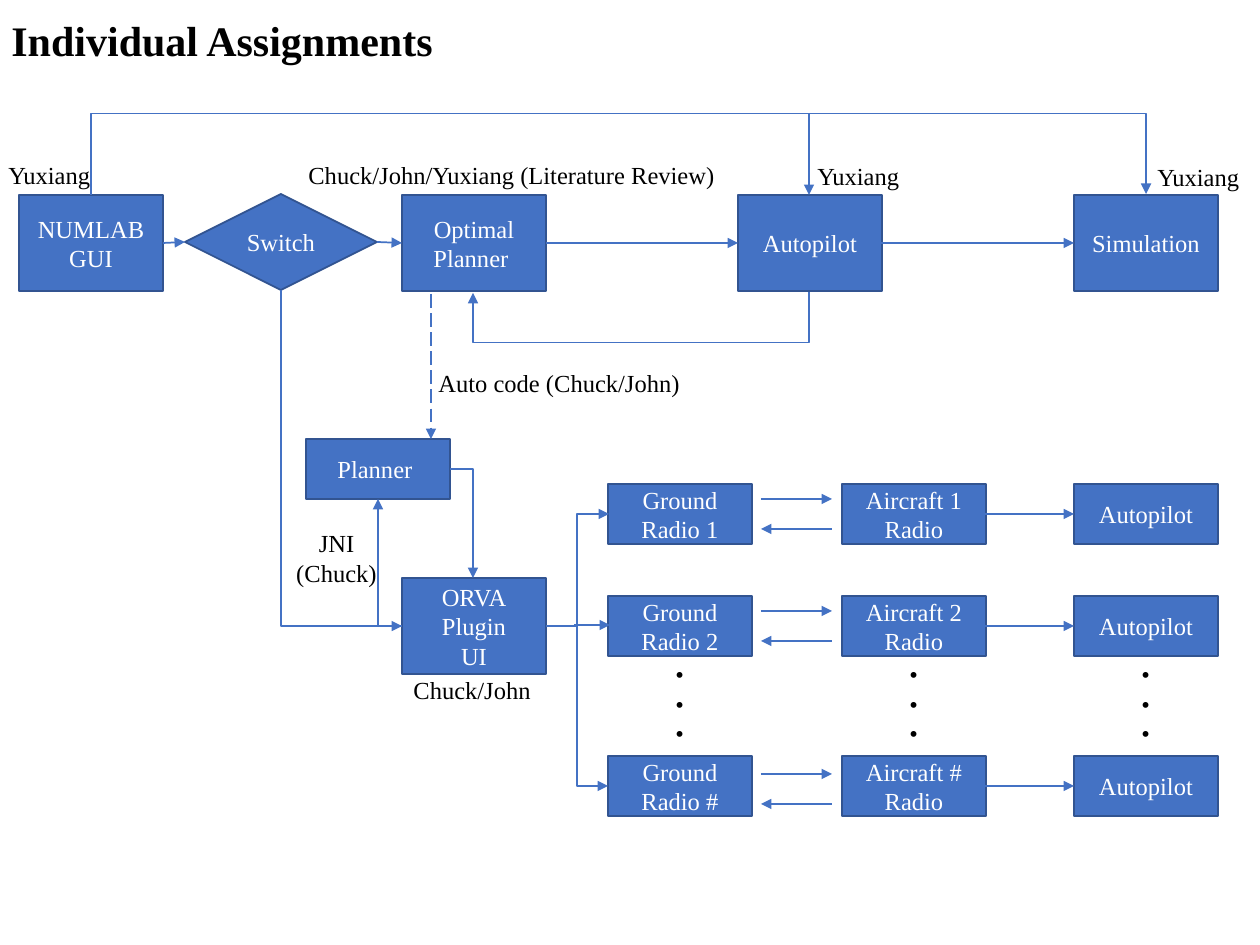
from dataclasses import dataclass

from lxml import etree
from pptx import Presentation
from pptx.dml.color import RGBColor
from pptx.enum.dml import MSO_LINE
from pptx.enum.shapes import MSO_CONNECTOR, MSO_SHAPE
from pptx.enum.text import MSO_ANCHOR, MSO_AUTO_SIZE, PP_ALIGN
from pptx.oxml.ns import qn
from pptx.util import Pt

RECTANGLE = MSO_SHAPE.RECTANGLE
DECISION = MSO_SHAPE.FLOWCHART_DECISION
STRAIGHT = MSO_CONNECTOR.STRAIGHT
ELBOW = MSO_CONNECTOR.ELBOW
LEFT = PP_ALIGN.LEFT
CENTER = PP_ALIGN.CENTER
LONG_DASH = MSO_LINE.LONG_DASH
MIDDLE = MSO_ANCHOR.MIDDLE
GROW = MSO_AUTO_SIZE.SHAPE_TO_FIT_TEXT

SCALE = 914400 / 126
FONT = "Times New Roman"
COLORS = {"blue": "4472C4", "outline": "325491", "white": "FFFFFF", "black": "000000"}
BOX_WIDTH, TALL, SHORT = 144, 96, 60
TOP_ROW, TOP_MIDDLE = 195, 243
INPUT, PLANNER, AUTOPILOT, SIMULATION = 19, 402, 738, 1074
GROUND, AIRCRAFT = 608, 842


@dataclass
class Node:
    text: str
    left: int
    top: int
    height: int = TALL
    width: int = BOX_WIDTH
    kind: MSO_SHAPE = RECTANGLE


@dataclass
class Label:
    text: str
    left: int
    top: int
    width: int
    height: int = 43
    size: int = 14
    bold: bool = False
    align: PP_ALIGN = LEFT
    wrap: bool = False


@dataclass
class Arrow:
    start: tuple[int, int]
    end: tuple[int, int]
    dashed: bool = False


@dataclass
class Elbow:
    start: tuple[int, int]
    end: tuple[int, int]
    vertical: bool = False
    lane: int | None = None


def emu(pixels: float) -> int:
    return round(pixels * SCALE)


def color(name: str) -> RGBColor:
    return RGBColor.from_string(COLORS[name])


def apply(target, values: dict) -> None:
    for name, value in values.items():
        setattr(target, name, value)


def write(frame, text: str, align: PP_ALIGN, ink: str, size: int = 14, bold: bool = False) -> None:
    for index, line in enumerate(text.split("\n")):
        para = frame.add_paragraph() if index else frame.paragraphs[0]
        para.alignment = align
        span = para.add_run()
        span.text = line
        apply(span.font, {"name": FONT, "size": Pt(size), "bold": bold})
        span.font.color.rgb = color(ink)


def draw_node(page, node: Node) -> None:
    box = page.shapes.add_shape(
        node.kind, emu(node.left), emu(node.top), emu(node.width), emu(node.height))
    box.shadow.inherit = False
    box.fill.solid()
    box.fill.fore_color.rgb = color("blue")
    box.line.color.rgb = color("outline")
    box.line.width = Pt(1)
    apply(box.text_frame, {"word_wrap": True, "vertical_anchor": MIDDLE})
    write(box.text_frame, node.text, CENTER, "white")


def draw_label(page, label: Label) -> None:
    box = page.shapes.add_textbox(
        emu(label.left), emu(label.top), emu(label.width), emu(label.height))
    apply(box.text_frame, {"word_wrap": label.wrap, "auto_size": GROW})
    write(box.text_frame, label.text, label.align, "black", label.size, label.bold)


def style_line(connector, dashed: bool = False) -> None:
    connector.line.color.rgb = color("blue")
    connector.line.width = Pt(1)
    if dashed:
        connector.line.dash_style = LONG_DASH
    properties = connector.element.spPr
    etree.SubElement(properties.find(qn("a:ln")), qn("a:tailEnd"), type="triangle")
    etree.SubElement(properties, qn("a:effectLst"))


def draw_arrow(page, arrow: Arrow) -> None:
    connector = page.shapes.add_connector(
        STRAIGHT, *map(emu, arrow.start), *map(emu, arrow.end))
    style_line(connector, arrow.dashed)


def draw_elbow(page, elbow: Elbow) -> None:
    (x1, y1), (x2, y2) = elbow.start, elbow.end
    middle_x, middle_y = (x1 + x2) / 2, (y1 + y2) / 2
    along, across = (y2 - y1, x1 - x2) if elbow.vertical else (x2 - x1, y2 - y1)
    connector = page.shapes.add_connector(
        ELBOW,
        emu(middle_x - along / 2), emu(middle_y - across / 2),
        emu(middle_x + along / 2), emu(middle_y + across / 2))
    properties = connector.element.spPr
    if elbow.vertical:
        properties.find(qn("a:xfrm")).set("rot", "5400000")
    geometry = properties.find(qn("a:prstGeom"))
    if elbow.lane is None:
        geometry.set("prst", "bentConnector2")
    else:
        origin = y1 if elbow.vertical else x1
        ratio = round((elbow.lane - origin) / along * 100000)
        guides = geometry.find(qn("a:avLst"))
        etree.SubElement(guides, qn("a:gd"), name="adj1", fmla=f"val {ratio}")
    style_line(connector)


deck = Presentation()
deck.slide_width, deck.slide_height = emu(1260), emu(945)
page = deck.slides.add_slide(deck.slide_layouts[6])

nodes = [
    Node("NUMLAB\nGUI", INPUT, TOP_ROW),
    Node("Switch", 185, 194, width=192, kind=DECISION),
    Node("Optimal Planner ", PLANNER, TOP_ROW),
    Node("Autopilot", AUTOPILOT, TOP_ROW),
    Node("Simulation", SIMULATION, TOP_ROW),
    Node("ORVA\nPlugin\nUI", PLANNER, 578),
    Node("Planner ", 306, 439, SHORT),
]
arrows = [
    Arrow((163, TOP_MIDDLE), (185, 242)),
    Arrow((377, 242), (PLANNER, TOP_MIDDLE)),
    Arrow((546, TOP_MIDDLE), (AUTOPILOT, TOP_MIDDLE)),
    Arrow((881, TOP_MIDDLE), (SIMULATION, TOP_MIDDLE)),
    Arrow((809, 113), (809, TOP_ROW)),
    Arrow((431, 294), (431, 439), dashed=True),
    Arrow((574, 625), (610, 625)),
]
for number, top, gap in (("1", 484, 15), ("2", 596, 15), ("#", 756, 18)):
    nodes += [
        Node(f"Ground Radio {number}", GROUND, top, SHORT),
        Node(f"Aircraft {number}\nRadio", AIRCRAFT, top, SHORT),
        Node("Autopilot", SIMULATION, top, SHORT),
    ]
    arrows += [
        Arrow((985, top + 30), (SIMULATION, top + 30)),
        Arrow((761, top + gap), (832, top + gap)),
        Arrow((832, top + gap + 30), (761, top + gap + 30)),
    ]
elbows = [
    Elbow((809, 292), (473, 293), vertical=True, lane=343),
    Elbow((91, 195), (1146, 194), vertical=True, lane=113),
    Elbow((546, 626), (609, 514), lane=577),
    Elbow((546, 626), (608, 786), lane=577),
    Elbow((281, 290), (PLANNER, 626), vertical=True),
    Elbow((450, 469), (473, 578)),
    Elbow((PLANNER, 626), (378, 499)),
]
labels = [
    Label("Individual Assignments", -1, 8, 451, 63, size=24, bold=True),
    Label("Yuxiang", -4, 154, 108),
    Label("Yuxiang", 805, 155, 108),
    Label("Yuxiang", 1145, 156, 108),
    Label("Chuck/John/Yuxiang (Literature Review)", 296, 154, 435),
    Label("Auto code (Chuck/John)", 426, 362, 268),
    Label("JNI\n(Chuck)", 283, 522, 107, 72, align=CENTER),
    Label("Chuck/John", 401, 669, 144),
]
labels += [Label("•\n•\n•", left + 55, 653, 33, 102, wrap=True)
           for left in (GROUND, AIRCRAFT, SIMULATION)]

for draw, items in ((draw_node, nodes), (draw_arrow, arrows),
                    (draw_elbow, elbows), (draw_label, labels)):
    for item in items:
        draw(page, item)

deck.save("out.pptx")
